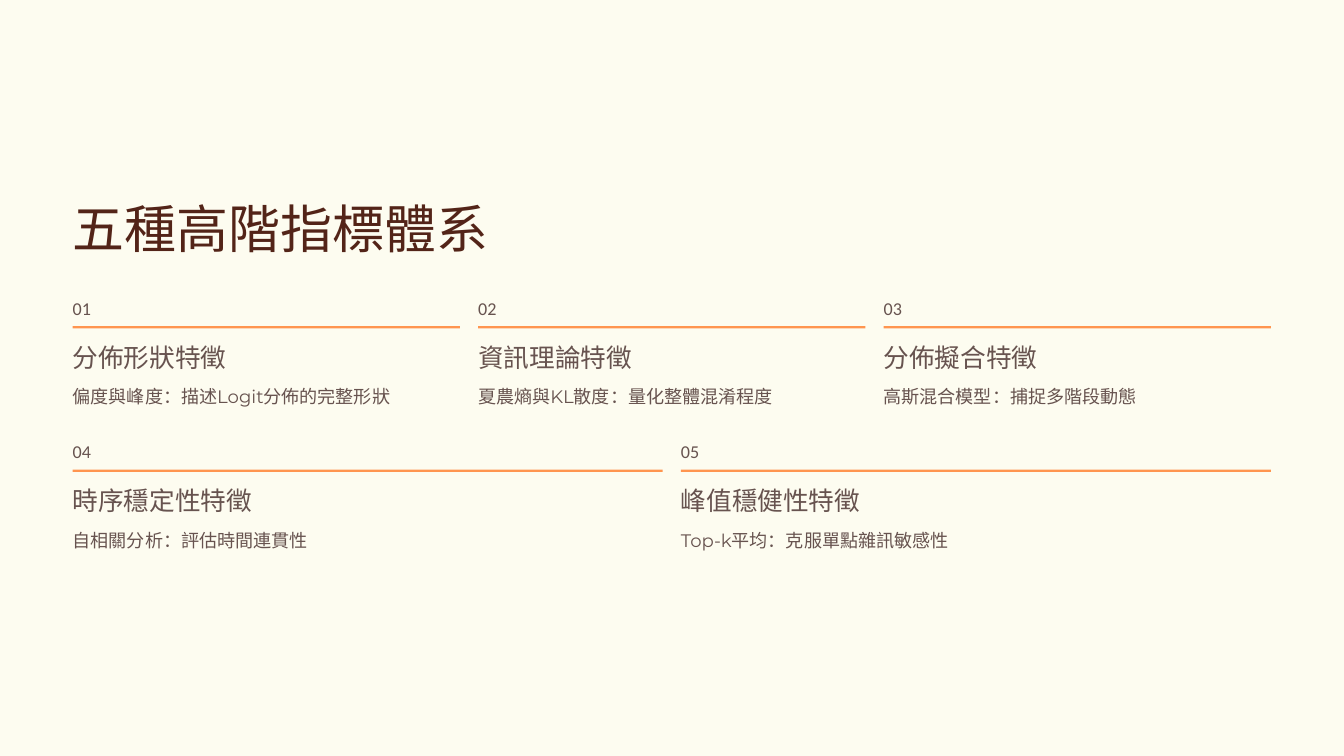
from pptx import Presentation
from pptx import util as u
from pptx.dml import color
from pptx.enum import shapes, text

COLORS = {"paper": "FDFCF0", "title": "532418", "body": "67534F", "rule": "FF954F"}
LEFT, CONTENT_WIDTH, GAP = 2.2, 36.23, 0.55
FIRST_ROW, ROW_PITCH = 8.94, 4.34

FEATURE_ROWS = [
    [
        ("分佈形狀特徵", "偏度與峰度：描述Logit分佈的完整形狀"),
        ("資訊理論特徵", "夏農熵與KL散度：量化整體混淆程度"),
        ("分佈擬合特徵", "高斯混合模型：捕捉多階段動態"),
    ],
    [
        ("時序穩定性特徵", "自相關分析：評估時間連貫性"),
        ("峰值穩健性特徵", "Top-k平均：克服單點雜訊敏感性"),
    ],
]


def rgb(name):
    return color.RGBColor.from_string(COLORS[name])


def write(frame, words, size, spacing, font, ink):
    frame.margin_left = frame.margin_right = 0
    frame.margin_top = frame.margin_bottom = 0
    frame.word_wrap = True
    frame.auto_size = text.MSO_AUTO_SIZE.NONE
    frame.vertical_anchor = text.MSO_ANCHOR.TOP
    line = frame.paragraphs[0]
    line.alignment = text.PP_ALIGN.LEFT
    line.line_spacing = u.Pt(spacing)
    run = line.add_run()
    run.text = words
    run.font.size = u.Pt(size)
    run.font.name = font
    run.font.color.rgb = rgb(ink)


def add_title(slide, words):
    title = slide.shapes.title
    title.left, title.top = u.Cm(LEFT), u.Cm(5.79)
    title.width, title.height = u.Cm(15.85), u.Cm(2.06)
    write(title.text_frame, words, 44.5, 58, "Calibri", "title")


def add_label(slide, words, left, top, width, height, size, spacing, font):
    label = slide.shapes.add_textbox(u.Cm(left), u.Cm(top), u.Cm(width), u.Cm(height))
    write(label.text_frame, words, size, spacing, font, "body")


def add_rule(slide, left, top, width):
    rule = slide.shapes.add_shape(
        shapes.MSO_SHAPE.RECTANGLE, u.Cm(left), u.Cm(top), u.Cm(width), u.Cm(0.07))
    rule.shadow.inherit = False
    rule.fill.solid()
    rule.fill.fore_color.rgb = rgb("rule")
    rule.line.fill.background()


def add_feature(slide, number, heading, detail, left, top, width):
    add_label(slide, f"{number:02}", left, top, width, 0.71, 15.5, 20, "Calibri")
    add_rule(slide, left, top + 0.92, width)
    add_label(slide, heading, left, top + 1.3, width, 1.04, 22, 29, "Calibri")
    add_label(slide, detail, left, top + 2.67, width, 0.71, 15.5, 20, "Montserrat")


def main():
    deck = Presentation()
    deck.slide_width, deck.slide_height = u.Cm(40.64), u.Cm(22.86)
    slide = deck.slides.add_slide(deck.slide_layouts.get_by_name("Title Only"))
    slide.background.fill.solid()
    slide.background.fill.fore_color.rgb = rgb("paper")

    add_title(slide, "五種高階指標體系")
    number = 1
    for row, features in enumerate(FEATURE_ROWS):
        width = (CONTENT_WIDTH - GAP * (len(features) - 1)) / len(features)
        for column, (heading, detail) in enumerate(features):
            left = LEFT + column * (width + GAP)
            top = FIRST_ROW + row * ROW_PITCH
            add_feature(slide, number, heading, detail, left, top, width)
            number += 1
    deck.save("out.pptx")


if __name__ == "__main__":
    main()
